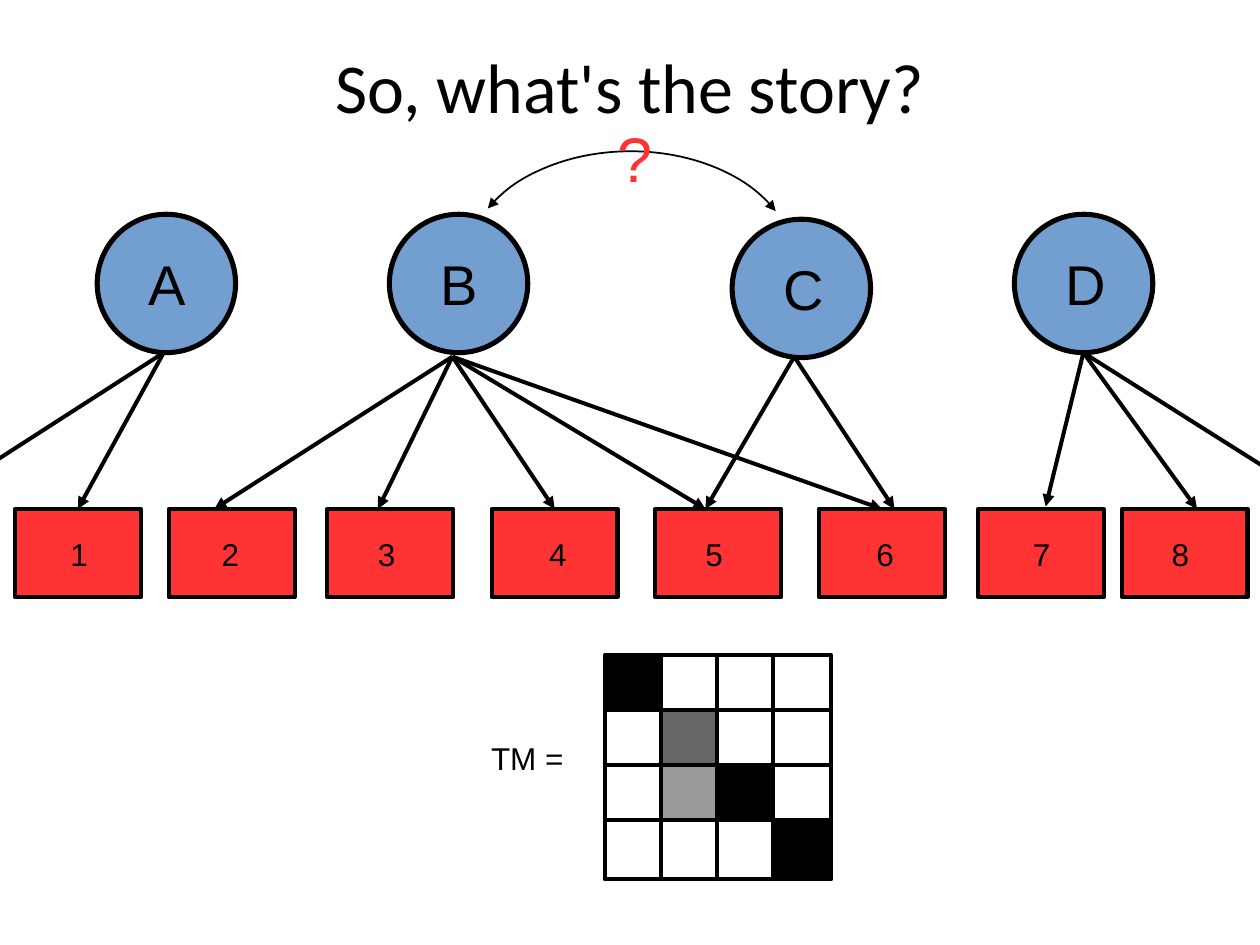
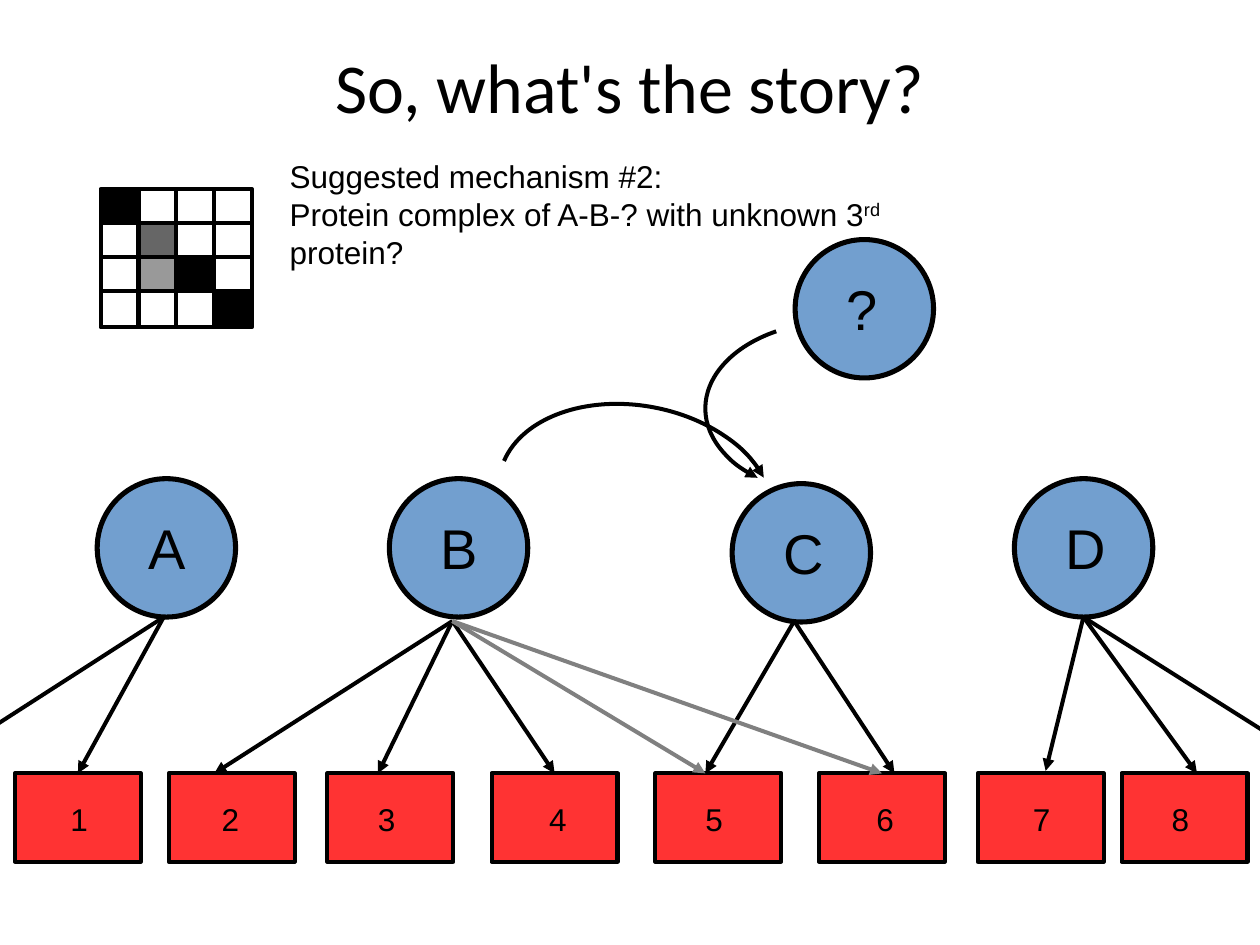
from lxml import etree
from pptx import Presentation
from pptx import util as u
from pptx.dml.color import RGBColor
from pptx.enum import shapes, text
from pptx.oxml.ns import qn

BLACK = RGBColor(0x00, 0x00, 0x00)
WHITE = RGBColor(0xFF, 0xFF, 0xFF)
DARK = RGBColor(0x66, 0x66, 0x66)
PALE = RGBColor(0x99, 0x99, 0x99)
GRAY = RGBColor(0x80, 0x80, 0x80)
RED = RGBColor(0xFF, 0x33, 0x33)
BLUE = RGBColor(0x72, 0x9F, 0xCF)

THICK = 2.3
DISC = 2.79
BOX_W, BOX_H, BOX_TOP = 2.54, 1.78, 5.94
GENES = [(0.3, 1.17), (3.4, 4.22), (6.6, 7.37), (9.91, 10.82),
         (13.21, 13.97), (16.51, 17.42), (19.71, 20.57), (22.61, 23.37)]
DISCS = [("A", 1.96, 0), ("B", 7.85, 0), ("C", 14.76, 0.1), ("D", 20.45, 0)]
FANS = [
    ((3.3, 2.79), [(-1.52, 5.89), (1.52, 5.89)]),
    ((9.12, 2.87), [(4.32, 5.94), (7.62, 5.94), (11.18, 5.94)]),
    ((16.01, 2.87), [(14.22, 5.94), (18.03, 5.94)]),
    ((21.84, 2.79), [(21.08, 5.89), (24.13, 5.94), (26.67, 5.84)]),
]
SHARED = ((9.12, 2.87), [(14.22, 5.94), (17.78, 5.94)])
SHADES = {(0, 0): BLACK, (1, 1): DARK, (2, 1): PALE, (2, 2): BLACK, (3, 3): BLACK}


def cms(*sizes):
    return [u.Cm(size) for size in sizes]


def style(font, size, color=BLACK, face="Arial"):
    font.size = u.Pt(size)
    font.name = face
    font.color.rgb = color


def tip(item, *ends):
    line = item._element.spPr.find(qn("a:ln"))
    for end in ends:
        etree.SubElement(line, qn(f"a:{end}End"), type="triangle")


def form(home, kind, box, fill=None, width=THICK):
    item = home.add_shape(kind, *cms(*box))
    item.shadow.inherit = False
    if fill is None:
        item.fill.background()
    else:
        item.fill.solid()
        item.fill.fore_color.rgb = fill
    item.line.color.rgb = BLACK
    item.line.width = u.Pt(width)
    return item


def label(slide, words, box, size, color=BLACK, wrap=False):
    item = slide.shapes.add_textbox(*cms(*box))
    frame = item.text_frame
    frame.text = words
    frame.word_wrap = wrap
    frame.auto_size = text.MSO_AUTO_SIZE.SHAPE_TO_FIT_TEXT
    for para in frame.paragraphs:
        for run in para.runs:
            style(run.font, size, color)
    return frame


def title(slide):
    item = slide.shapes.title
    item.left, item.top, item.width, item.height = cms(1.27, 0, 22.86, 3.43)
    frame = item.text_frame
    frame.text = "So, what's the story?"
    frame.margin_left = frame.margin_right = frame.margin_top = frame.margin_bottom = 0
    frame.vertical_anchor = text.MSO_ANCHOR.MIDDLE
    para = frame.paragraphs[0]
    para.alignment = text.PP_ALIGN.CENTER
    style(para.runs[0].font, 40, face="Calibri")


def disc(slide, name, x, y):
    form(slide.shapes, shapes.MSO_SHAPE.OVAL, (x, y, DISC, DISC), BLUE, 2.89)
    label(slide, name, (x + 0.78, y + 0.58, 1.26, 1.78), 32)


def arc(slide, box, start, stop, ends, width=THICK, turn=0):
    item = form(slide.shapes, shapes.MSO_SHAPE.ARC, box, width=width)
    item.adjustments[0], item.adjustments[1] = start, stop
    item.rotation = turn
    tip(item, *ends)


def fan(slide, top, start, stops, boxes, color=BLACK):
    for x, y in stops:
        line = slide.shapes.add_connector(
            shapes.MSO_CONNECTOR.STRAIGHT,
            *cms(start[0], top + start[1], x, top + y))
        line.line.color.rgb = color
        line.line.width = u.Pt(THICK)
        tip(line, "tail")
        etree.SubElement(line._element.spPr, qn("a:effectLst"))
        for (left, _), box in zip(GENES, boxes):
            if abs(left + BOX_W / 2 - x) < 0.06:
                line.end_connect(box, 0)


def network(slide, top, shared):
    boxes = [form(slide.shapes, shapes.MSO_SHAPE.RECTANGLE,
                  (left, top + BOX_TOP, BOX_W, BOX_H), RED)
             for left, _ in GENES]
    for number, (_, left) in enumerate(GENES, 1):
        label(slide, str(number), (left, top + 6.35, 0.86, 1.22), 18)
    for name, left, drop in DISCS:
        disc(slide, name, left, top + drop)
    for start, stops in FANS:
        fan(slide, top, start, stops, boxes)
    fan(slide, top, *SHARED, boxes, shared)


def matrix(slide, box, cell):
    left, top, width, height = box
    home = slide.shapes.add_group_shape().shapes
    for row in range(4):
        for col in range(4):
            x = left + col * (width - cell[0]) / 3
            y = top + row * (height - cell[1]) / 3
            form(home, shapes.MSO_SHAPE.RECTANGLE, (x, y, *cell),
                 SHADES.get((row, col), WHITE))


def puzzle(slide):
    title(slide)
    network(slide, 4.32, BLACK)
    matrix(slide, (12.19, 13.21, 4.57, 4.52), (1.17, 1.19))
    label(slide, "TM =", (9.65, 14.78, 1.98, 0.97), 18)
    arc(slide, (9.4, 3.05, 6.63, 4.57), 120.86, 203.86, ("head", "tail"), 1)
    label(slide, "?", (12.19, 2.29, 1.22, 1.68), 36, RED)


def theory(slide):
    title(slide)
    network(slide, 9.65, GRAY)
    matrix(slide, (2.03, 3.81, 3.05, 2.79), (0.76, 0.74))
    arc(slide, (10.03, 8.18, 5.59, 3.81), 111.56, 203.61, ("tail",), turn=10.6)
    arc(slide, (14.22, 6.48, 5.33, 3.51), 83.42, 138.9, ("head",))
    disc(slide, "?", 16.03, 4.83)
    frame = label(slide, "Suggested mechanism #2:\nProtein complex of A-B-? with unknown 3",
                  (5.59, 3.05, 13.97, 2.41), 18, wrap=True)
    for words, raise_by in (("rd", "33000"), (" protein?", "0")):
        run = frame.paragraphs[1].add_run()
        run.text = words
        style(run.font, 18)
        run.font._element.set("baseline", raise_by)


def main():
    deck = Presentation()
    deck.slide_width, deck.slide_height = cms(25.4, 19.05)
    for build in (puzzle, theory):
        build(deck.slides.add_slide(deck.slide_layouts[5]))
    deck.save("out.pptx")


if __name__ == "__main__":
    main()
